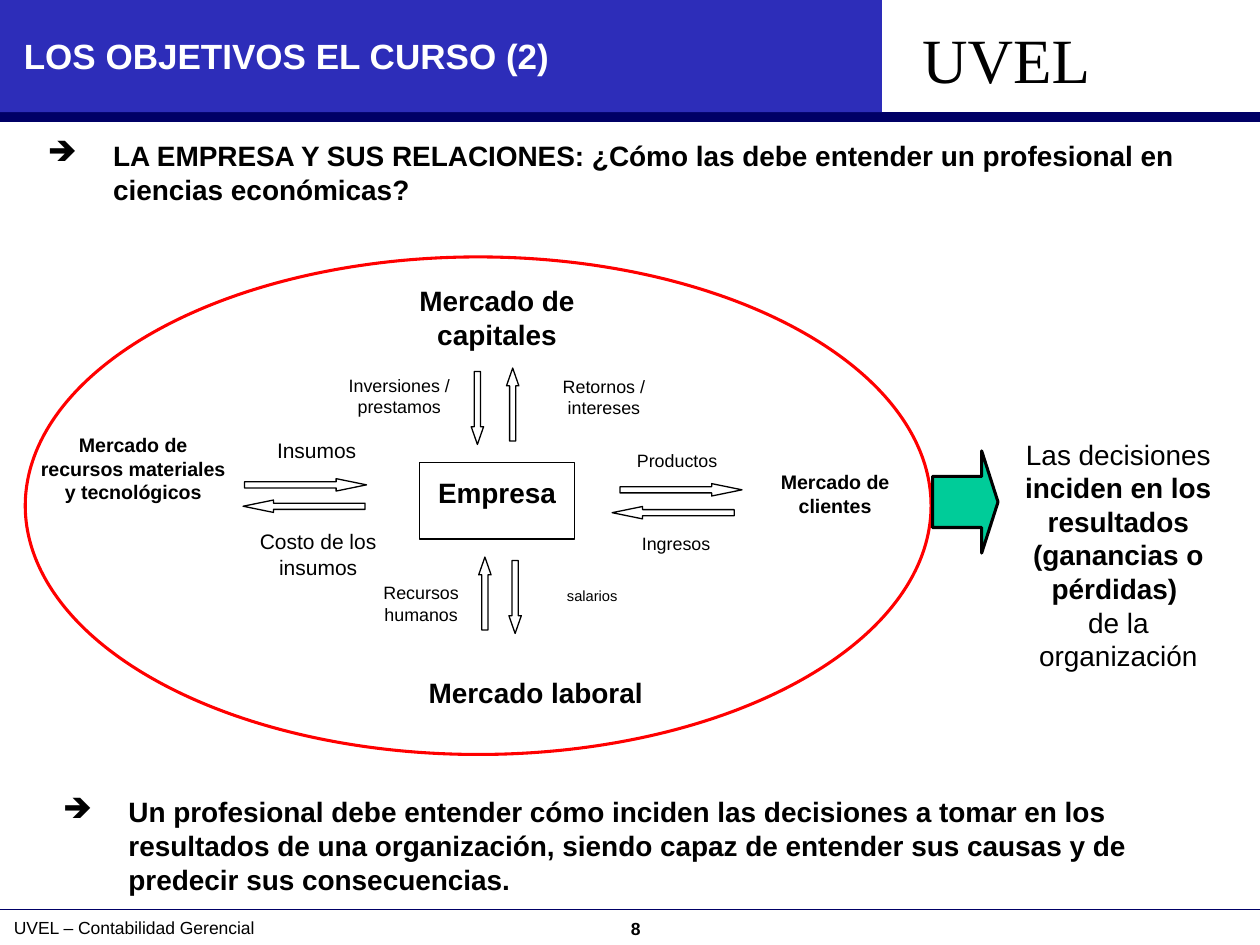
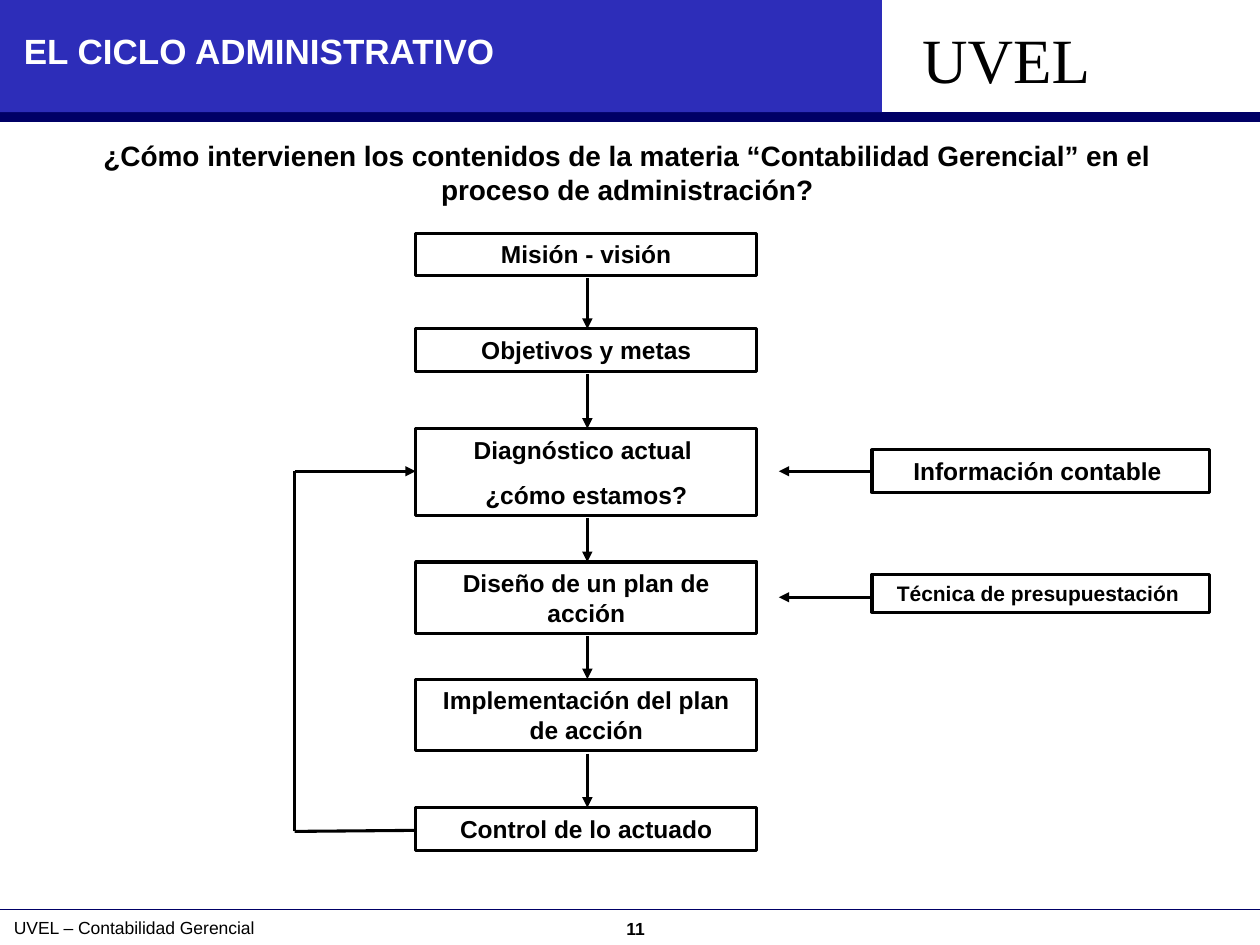
"""Builds two slides on the company's markets and the management cycle."""
from itertools import pairwise

from lxml import etree
from pptx import Presentation
from pptx.dml.color import RGBColor
from pptx.enum.shapes import MSO_CONNECTOR, MSO_SHAPE
from pptx.enum.text import PP_ALIGN
from pptx.oxml.ns import qn
from pptx.util import Cm, Pt

RECT = MSO_SHAPE.RECTANGLE
ELLIPSE = MSO_SHAPE.OVAL
RIGHT = MSO_SHAPE.RIGHT_ARROW
DOWN = MSO_SHAPE.DOWN_ARROW
STRAIGHT = MSO_CONNECTOR.STRAIGHT
LEFT, CENTER = PP_ALIGN.LEFT, PP_ALIGN.CENTER

BLACK, WHITE, NAVY, BLUE = "000000", "FFFFFF", "000066", "2D2DB9"
RED, GREEN = "FF0000", "00CC99"
THIN, THICK = 0.75, 1.75
rgb = RGBColor.from_string


def box(s, x, y, w, h, text="", kind=None, fill=None, line=None, width=THIN,
        size=16, bold=False, color=BLACK, font="Arial", align=CENTER,
        bullet=None, before=0, spacing=1):
    """Adds a shape or text box; asterisks in the text switch bold."""
    area = Cm(x), Cm(y), Cm(w), Cm(h)
    if kind is None:
        sp = s.shapes.add_textbox(*area)
    else:
        sp = s.shapes.add_shape(kind, *area)
        sp.shadow.inherit = False
    if fill:
        sp.fill.solid()
        sp.fill.fore_color.rgb = rgb(fill)
    else:
        sp.fill.background()
    if line:
        sp.line.color.rgb = rgb(line)
        sp.line.width = Pt(width)
    else:
        sp.line.fill.background()
    if not text:
        return sp
    tf = sp.text_frame
    tf.word_wrap = True
    tf.vertical_anchor = 1
    for i, row in enumerate(text.split("\n")):
        p = tf.add_paragraph() if i else tf.paragraphs[0]
        p.alignment = align
        p.line_spacing = spacing
        p.space_before = Pt(before if i else 0)
        for j, part in enumerate(row.split("*")):
            r = p.add_run()
            r.text = part
            r.font.name = font
            r.font.size = Pt(size)
            r.font.bold = bold != (j % 2 == 1)
            r.font.color.rgb = rgb(color)
        if bullet:
            pPr = p._p.get_or_add_pPr()
            pPr.set("marL", str(Cm(1.32)))
            pPr.set("indent", str(-Cm(1.32)))
            etree.SubElement(pPr, qn("a:buChar")).set("char", bullet)
    return sp


def connect(s, x1, y1, x2, y2, color=BLACK, width=THICK, arrow=False):
    """Adds a straight line, with an arrowhead at its end if asked."""
    c = s.shapes.add_connector(STRAIGHT, Cm(x1), Cm(y1), Cm(x2), Cm(y2))
    c.line.color.rgb = rgb(color)
    c.line.width = Pt(width)
    if arrow:
        etree.SubElement(c.line._get_or_add_ln(), qn("a:tailEnd")).set("type", "triangle")
    etree.SubElement(c._element.spPr, qn("a:effectLst"))


prs = Presentation()
prs.slide_width, prs.slide_height = Cm(25.4), Cm(19.05)

slides = []
for title, title_y, number in [
    ("LOS OBJETIVOS EL CURSO (2)", 0.58, "8"),
    ("EL CICLO ADMINISTRATIVO", 0.48, "11"),
]:
    s = prs.slides.add_slide(prs.slide_layouts[6])
    box(s, 0.18, 18.39, 25.27, 0.69, number, size=10, bold=True)
    box(s, 0, 2.26, 25.4, 0.2, kind=RECT, fill=NAVY)
    connect(s, 0, 18.34, 25.4, 18.34, NAVY, THIN)
    box(s, 0.03, 18.36, 10.36, 0.69, "UVEL – Contabilidad Gerencial", size=10, align=LEFT)
    box(s, 0, 0, 17.78, 2.26, kind=RECT, fill=BLUE)
    box(s, 18.34, 0.28, 4.06, 1.78, "UVEL", size=36, font="Times New Roman", align=LEFT)
    box(s, 0.23, title_y, 17.35, 1.12, title, size=20, bold=True, color=WHITE, align=LEFT)
    slides.append(s)
markets, cycle = slides

for x, y, w, h, text, size, bold in [
    (6.93, 11.61, 3.12, 1.17, "Recursos humanos", 10.2, False),
    (7.57, 5.59, 4.9, 2.03, "Mercado de capitales", 16, True),
    (6.6, 7.42, 2.9, 1.17, "Inversiones / prestamos", 10.2, False),
    (10.74, 7.44, 2.87, 1.17, "Retornos / intereses", 10.2, False),
    (8.03, 13.49, 5.54, 1.32, "Mercado laboral", 16, True),
    (15.16, 9.35, 3.35, 1.27, "Mercado de clientes", 11.2, True),
    (0.46, 8.61, 4.45, 2.01, "Mercado de recursos materiales y tecnológicos", 11.2, True),
]:
    box(markets, x, y, w, h, text, RECT, WHITE, size=size, bold=bold)

box(markets, 8.46, 9.32, 3.12, 1.55, "Empresa", RECT, WHITE, BLACK, bold=True, spacing=1.2)

for x, y, w, h, text, size in [
    (10.62, 11.71, 2.64, 0.61, "salarios", 8.4),
    (12.12, 10.62, 3.02, 0.71, "Ingresos", 10.2),
    (12.14, 8.94, 3.02, 0.71, "Productos", 10.2),
    (4.72, 8.69, 3.33, 1.65, "Insumos", 12),
    (4.75, 10.54, 3.33, 1.42, "Costo de los insumos", 12),
]:
    box(markets, x, y, w, h, text, size=size)

for kind, w, h, head, places in [
    (DOWN, 0.25, 1.47, 1.43, [(9.5, 7.49, 0), (10.21, 7.42, 180),
                              (10.26, 11.3, 0), (9.65, 11.23, 180)]),
    (RIGHT, 2.46, 0.25, 2.45, [(12.5, 9.75, 0), (12.34, 10.21, 180),
                               (4.93, 9.65, 0), (4.9, 10.08, 180)]),
]:
    for x, y, turn in places:
        sp = box(markets, x, y, w, h, kind=kind, fill=WHITE, line=BLACK)
        sp.adjustments[1] = head
        sp.rotation = turn

for x, y, h, text in [
    (0.71, 2.67, 1.7, "LA EMPRESA Y SUS RELACIONES: ¿Cómo las debe entender "
     "un profesional en ciencias económicas?"),
    (1.02, 15.9, 2.41, "Un profesional debe entender cómo inciden las decisiones a tomar "
     "en los resultados de una organización, siendo capaz de entender sus causas y de "
     "predecir sus consecuencias."),
]:
    box(markets, x, y, 23.95, h, text, bold=True, align=LEFT, bullet="➔")

box(markets, 0.51, 5.18, 18.26, 10.03, kind=ELLIPSE, line=RED, width=THICK)
sp = box(markets, 18.8, 9.09, 1.32, 2.06, kind=RIGHT, fill=GREEN, line=BLACK, width=THICK)
sp.adjustments[1] = 0.25
box(markets, 20.12, 8.69, 4.85, 5, "Las decisiones *inciden en los resultados "
    "(ganancias o pérdidas) *\nde la organización")

box(cycle, 1.19, 2.67, 22.91, 1.63, "¿Cómo intervienen los contenidos de la materia "
    "“Contabilidad Gerencial” en el proceso de administración?", bold=True)

steps = [
    (4.7, 0.86, "Misión - visión"),
    (6.63, 0.86, "Objetivos y metas"),
    (8.64, 1.75, "Diagnóstico actual \n¿cómo estamos?"),
    (11.33, 1.45, "Diseño de un plan de acción"),
    (13.69, 1.45, "Implementación del plan de acción"),
    (16.28, 0.86, "Control de lo actuado"),
]
for y, h, text in steps:
    box(cycle, 8.38, y, 6.88, h, text, RECT, line=BLACK, width=THICK,
        size=14, bold=True, before=8.8)
for (y, h, _), (next_y, _, _) in pairwise(steps):
    connect(cycle, 11.84, y + h + 0.05, 11.84, next_y, arrow=True)

for y, h, arrow_y, text, size in [
    (9.07, 0.86, 9.5, "Información contable ", 14),
    (11.58, 0.76, 12.04, "Técnica de presupuestación ", 12),
]:
    box(cycle, 17.58, y, 6.81, h, text, RECT, line=BLACK, width=THICK, size=size, bold=True)
    connect(cycle, 17.58, arrow_y, 15.7, arrow_y, arrow=True)

feedback = [(8.38, 16.74), (5.94, 16.76), (5.94, 9.5), (8.38, 9.5)]
for start, end in pairwise(feedback):
    connect(cycle, *start, *end, arrow=end == feedback[-1])

prs.save("out.pptx")
